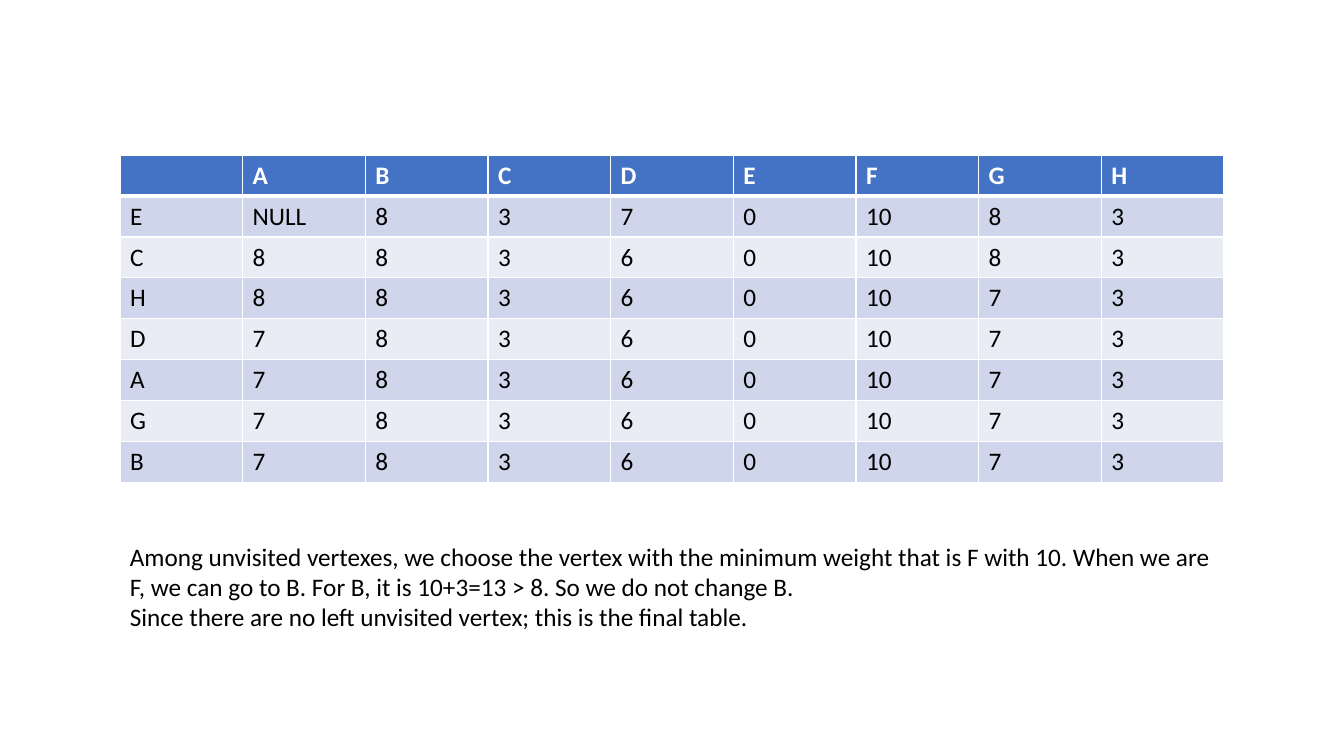
from lxml import etree
from pptx import Presentation
from pptx.dml.color import RGBColor
from pptx.enum.text import MSO_AUTO_SIZE
from pptx.oxml.ns import qn
from pptx.util import Inches, Pt

AUTO_GROW = MSO_AUTO_SIZE.SHAPE_TO_FIT_TEXT
FONT = "Calibri"
WHITE = RGBColor(0xFF, 0xFF, 0xFF)
BLACK = RGBColor(0x00, 0x00, 0x00)
HEADER_BLUE = RGBColor(0x44, 0x72, 0xC4)
BAND_DARK = RGBColor(0xCF, 0xD5, 0xEA)
BAND_LIGHT = RGBColor(0xE9, 0xEB, 0xF5)

LEFT, WIDTH = Inches(1.19), Inches(10.95)
TABLE_TOP, TABLE_HEIGHT = Inches(1.54), Inches(3.24)

# First column: vertex visited; other columns: weight of each vertex
WEIGHTS = [
    ["", "A", "B", "C", "D", "E", "F", "G", "H"],
    ["E", "NULL", "8", "3", "7", "0", "10", "8", "3"],
    ["C", "8", "8", "3", "6", "0", "10", "8", "3"],
    ["H", "8", "8", "3", "6", "0", "10", "7", "3"],
]
for visited in "DAGB":
    WEIGHTS.append([visited, "7", "8", "3", "6", "0", "10", "7", "3"])

EXPLANATION = [
    "Among unvisited vertexes, we choose the vertex with the minimum weight "
    "that is F with 10. When we are F, we can go to B. For B, it is "
    "10+3=13 > 8. So we do not change B.",
    "Since there are no left unvisited vertex; this is the final table.",
]


def add_text(para, text, color, bold=False):
    span = para.add_run()
    span.text = text
    span.font.name = FONT
    span.font.size = Pt(18)
    span.font.bold = bold
    span.font.color.rgb = color


def set_border(cell, side, points):
    properties = cell._tc.get_or_add_tcPr()
    line = etree.SubElement(properties, qn("a:" + side), w=str(Pt(points)))
    fill = etree.SubElement(line, qn("a:solidFill"))
    etree.SubElement(fill, qn("a:srgbClr"), val=str(WHITE))


deck = Presentation()
deck.slide_width, deck.slide_height = Inches(13.33), Inches(7.5)
page = deck.slides.add_slide(deck.slide_layouts[6])

# Table of weights
row_count, column_count = len(WEIGHTS), len(WEIGHTS[0])
table = page.shapes.add_table(
    row_count, column_count, LEFT, TABLE_TOP, WIDTH, TABLE_HEIGHT
).table
for column in table.columns:
    column.width = WIDTH // column_count
for row in table.rows:
    row.height = TABLE_HEIGHT // row_count

for row_index, values in enumerate(WEIGHTS):
    is_header = row_index == 0
    if is_header:
        row_fill = HEADER_BLUE
    else:
        row_fill = BAND_DARK if row_index % 2 else BAND_LIGHT
    for column_index, value in enumerate(values):
        cell = table.cell(row_index, column_index)
        # Borders precede the fill in the cell properties
        set_border(cell, "lnL", 1)
        set_border(cell, "lnR", 1)
        set_border(cell, "lnT", 3 if row_index == 1 else 1)
        set_border(cell, "lnB", 3 if is_header else 1)
        cell.fill.solid()
        cell.fill.fore_color.rgb = row_fill
        if value:
            add_text(cell.text_frame.paragraphs[0], value,
                     WHITE if is_header else BLACK, is_header)

# Explanation below the table
box = page.shapes.add_textbox(LEFT, Inches(5.32), WIDTH, Inches(1.01))
frame = box.text_frame
frame.word_wrap = True
frame.auto_size = AUTO_GROW
for index, sentence in enumerate(EXPLANATION):
    para = frame.add_paragraph() if index else frame.paragraphs[0]
    add_text(para, sentence, BLACK)

deck.save("out.pptx")
